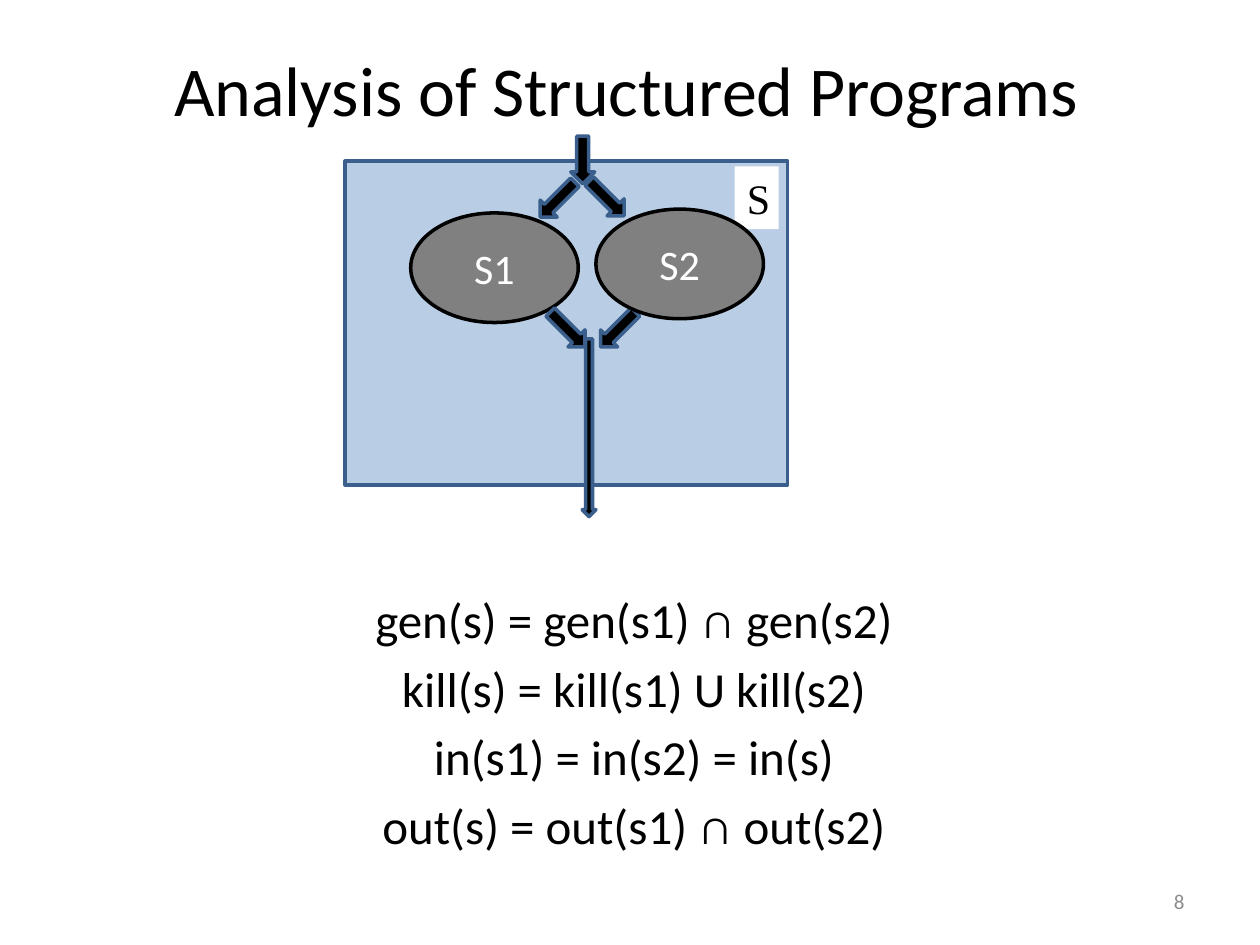
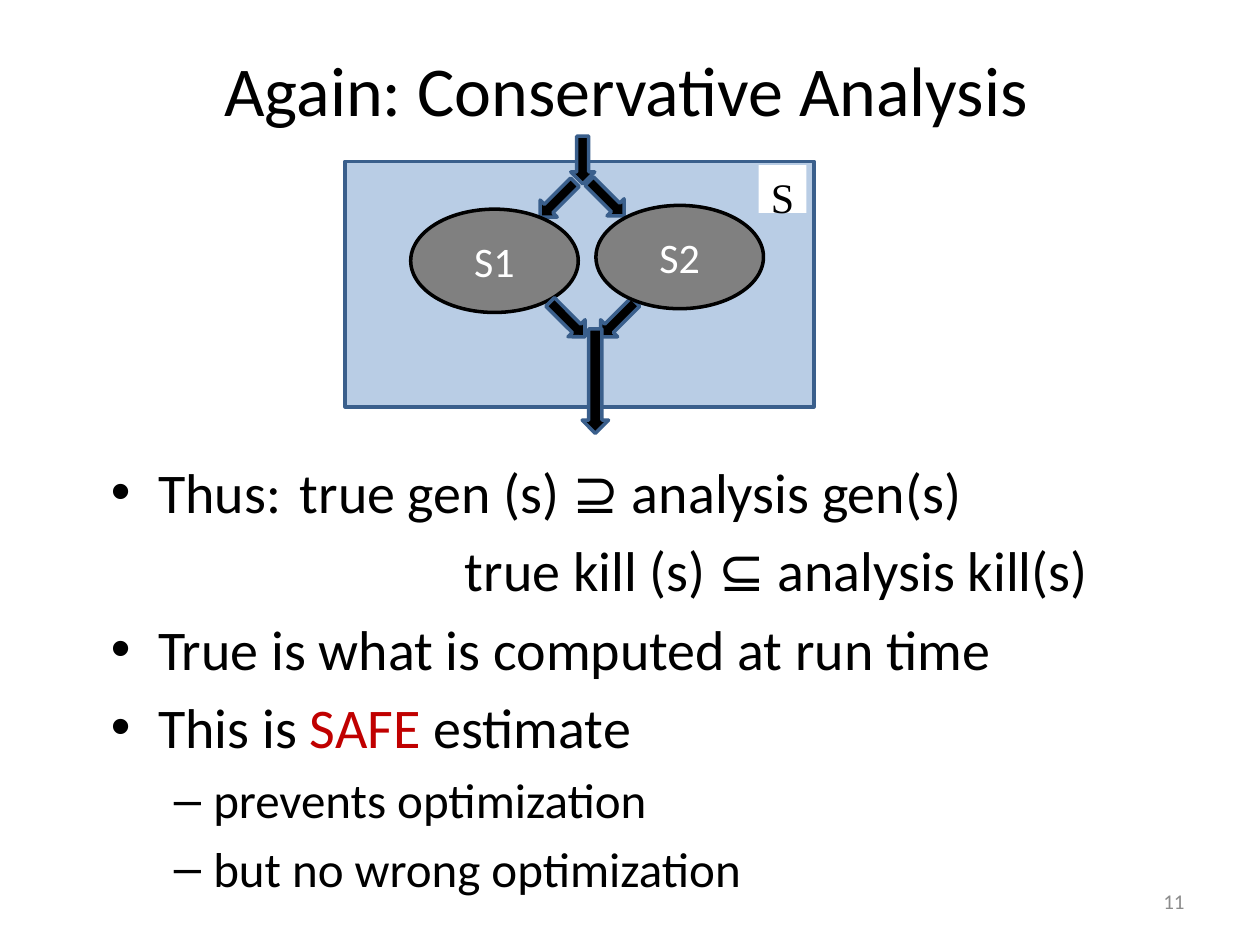
import pptx
import pptx.util
import pptx.dml.color
import pptx.enum.shapes
import pptx.enum.text
import pptx.oxml.ns
from lxml import etree

Inches = pptx.util.Inches
RGBColor = pptx.dml.color.RGBColor
SHAPE = pptx.enum.shapes.MSO_SHAPE
ALIGN = pptx.enum.text.PP_ALIGN
ANCHOR = pptx.enum.text.MSO_ANCHOR

BLACK = RGBColor(0x00, 0x00, 0x00)
WHITE = RGBColor(0xFF, 0xFF, 0xFF)
PANEL = RGBColor(0xB9, 0xCD, 0xE5)
EDGE = RGBColor(0x3A, 0x5F, 0x8C)
NODE = RGBColor(0x80, 0x80, 0x80)
NUMBER = RGBColor(0x8C, 0x8C, 0x8C)
RED = RGBColor(0xC0, 0x00, 0x00)


def add_text(p, text, size=None, color=BLACK, font="Calibri", align=None):
    """Append a formatted run to a paragraph."""
    r = p.add_run()
    r.text = text
    r.font.name = font
    r.font.color.rgb = color
    if size:
        r.font.size = pptx.util.Pt(size)
    if align is not None:
        p.alignment = align
    return r


def remove_bullet(p, left=None):
    """Hide the bullet; optionally start the text at a given left margin."""
    pPr = p._p.get_or_add_pPr()
    if left is not None:
        pPr.set("marL", str(Inches(left)))
        pPr.set("indent", "0")
    etree.SubElement(pPr, pptx.oxml.ns.qn("a:buNone"))


class Deck:
    """Shared style and the slide being built."""

    def __init__(self):
        """Start an empty 10 by 7.5 inch presentation."""
        self.prs = pptx.Presentation()
        self.prs.slide_width = Inches(10)
        self.prs.slide_height = Inches(7.5)
        self.s = None

    def place(self, sp, x, y, w, h):
        """Move and size a shape, in inches."""
        sp.left, sp.top, sp.width, sp.height = map(Inches, (x, y, w, h))

    def slide(self, title, number):
        """Add a slide with its title and page number."""
        self.s = self.prs.slides.add_slide(self.prs.slide_layouts[1])
        sp = self.s.shapes.title
        self.place(sp, 0.36, 0.25, 9.22, 0.91)
        add_text(sp.text_frame.paragraphs[0], title, size=40, align=ALIGN.CENTER)
        box = self.s.shapes.add_textbox(
            Inches(7.17), Inches(6.95), Inches(2.33), Inches(0.4))
        tf = box.text_frame
        tf.word_wrap = True
        tf.vertical_anchor = ANCHOR.MIDDLE
        add_text(tf.paragraphs[0], str(number), size=12, color=NUMBER,
                 align=ALIGN.RIGHT)

    def body(self, y, h, anchor=ANCHOR.TOP):
        """Place the body placeholder and return its text frame."""
        sp = self.s.placeholders[1]
        self.place(sp, 0.78, y, 8.5, h)
        tf = sp.text_frame
        tf.auto_size = pptx.enum.text.MSO_AUTO_SIZE.NONE
        tf.vertical_anchor = anchor
        return tf

    def shape(self, kind, at, fill, line=None):
        """Add a flat preset shape with a fill and an optional outline."""
        sp = self.s.shapes.add_shape(kind, *map(Inches, at))
        sp.shadow.inherit = False
        sp.fill.solid()
        sp.fill.fore_color.rgb = fill
        if line is None:
            sp.line.fill.background()
        else:
            sp.line.color.rgb = line
            sp.line.width = pptx.util.Pt(2)
        return sp

    def arrow(self, at, rotation=0):
        """Add a black block arrow that points down before rotation."""
        sp = self.shape(SHAPE.DOWN_ARROW, at, BLACK, EDGE)
        sp.rotation = rotation

    def node(self, label, x, y, h):
        """Add a labelled statement ellipse."""
        sp = self.shape(SHAPE.OVAL, (x, y, 1.33, h), NODE, BLACK)
        sp.text_frame.vertical_anchor = ANCHOR.MIDDLE
        add_text(sp.text_frame.paragraphs[0], label, size=24, color=WHITE,
                 align=ALIGN.CENTER)

    def branch(self, panel_w, panel_h, tag, node_y, node_h, join_y, exit_at):
        """Draw statement S, which branches to S1 and S2 and joins again."""
        self.shape(SHAPE.RECTANGLE, (2.74, 1.28, panel_w, panel_h), PANEL, EDGE)
        sp = self.shape(SHAPE.RECTANGLE, tag, WHITE)
        sp.text_frame.vertical_anchor = ANCHOR.TOP
        add_text(sp.text_frame.paragraphs[0], "S", size=24,
                 font="Times New Roman", align=ALIGN.LEFT)
        self.arrow((4.33, 1.39, 0.19, 0.39), 45)
        self.arrow((4.72, 1.38, 0.19, 0.39), 315)
        self.node("S1", 3.26, node_y + 0.03, node_h)
        self.arrow((4.81, join_y, 0.19, 0.39), 45)
        self.node("S2", 4.73, node_y, node_h)
        self.arrow((4.41, join_y, 0.19, 0.39), 315)
        self.arrow((4.53, 1.08, 0.19, 0.38))
        self.arrow(exit_at)


deck = Deck()

deck.slide("Analysis of Structured Programs", 8)
deck.branch(3.51, 2.57, tag=(5.83, 1.32, 0.35, 0.5), node_y=1.66, node_h=0.87,
            join_y=2.42, exit_at=(4.62, 2.69, 0.11, 1.41))
tf = deck.body(4.26, 2.94, ANCHOR.MIDDLE)
equations = ["gen(s) = gen(s1) ∩ gen(s2)", "kill(s) = kill(s1) U kill(s2)",
             "in(s1) = in(s2) = in(s)", "out(s) = out(s1) ∩ out(s2)"]
for i, equation in enumerate(equations):
    p = tf.add_paragraph() if i else tf.paragraphs[0]
    add_text(p, equation, size=28, align=ALIGN.CENTER)
    remove_bullet(p)

deck.slide("Again: Conservative Analysis", 11)
deck.branch(3.72, 1.95, tag=(6.02, 1.31, 0.38, 0.38), node_y=1.63, node_h=0.82,
            join_y=2.34, exit_at=(4.62, 2.61, 0.21, 0.83))
tf = deck.body(3.58, 3.03)
# Each line: level, size, left margin without bullet, runs of text and colour
lines = [
    (0, 32, None, [("Thus: \ttrue gen (s) ⊇ analysis gen(s)", BLACK)]),
    (1, 32, 2.81, [("true kill (s) ⊆ analysis kill(s)", BLACK)]),
    (0, 32, None, [("True is what is computed at run time", BLACK)]),
    (0, 32, None, [("This is ", BLACK), ("SAFE", RED), (" estimate", BLACK)]),
    (1, 28, None, [("prevents optimization", BLACK)]),
    (1, 28, None, [("but no wrong optimization", BLACK)]),
]
for i, (level, size, left, runs) in enumerate(lines):
    p = tf.add_paragraph() if i else tf.paragraphs[0]
    p.level = level
    for text, color in runs:
        add_text(p, text, size=size, color=color)
    if left is not None:
        remove_bullet(p, left)

deck.prs.save("out.pptx")
